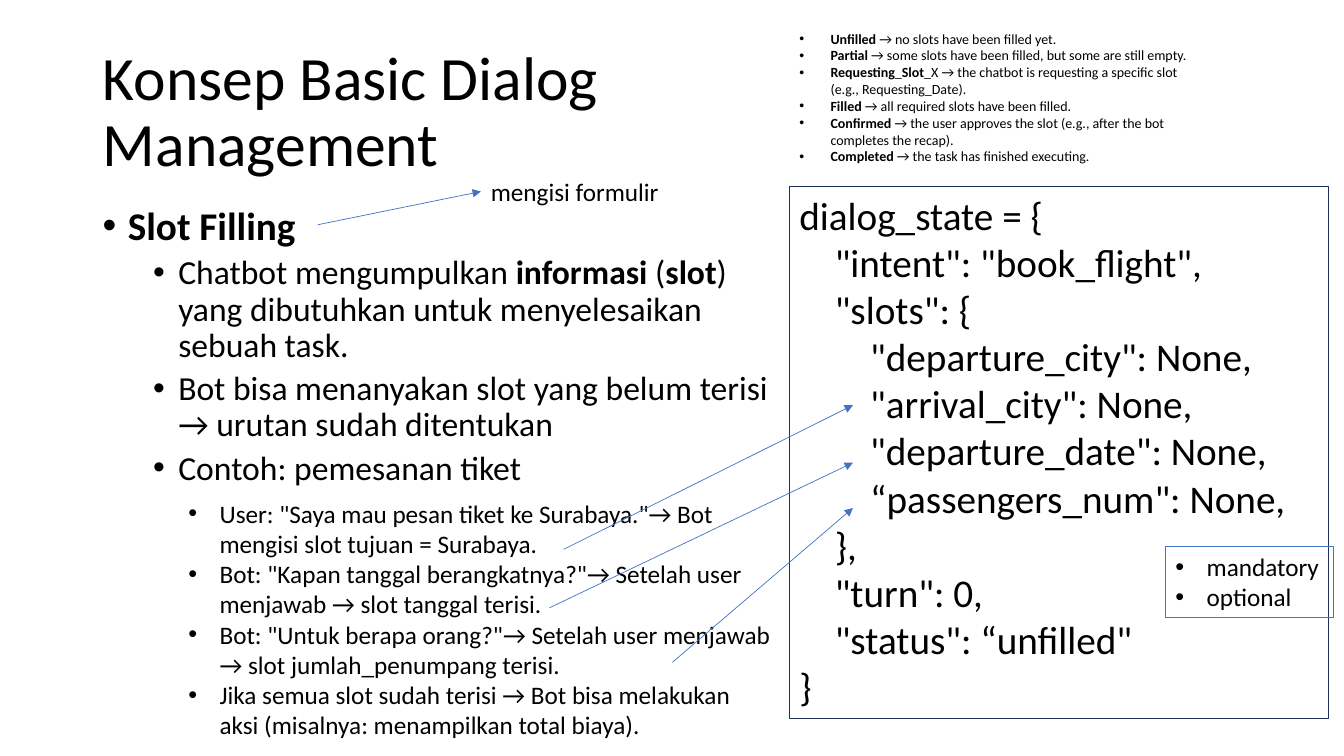
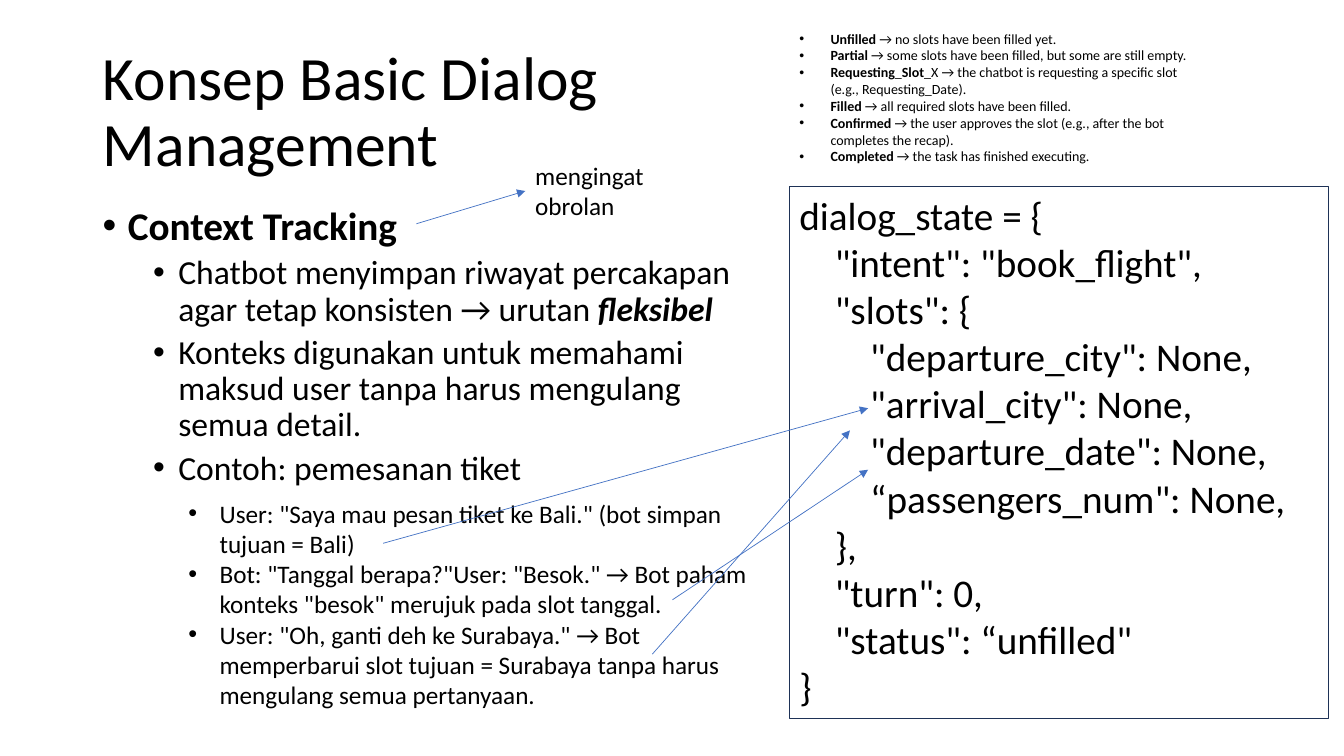
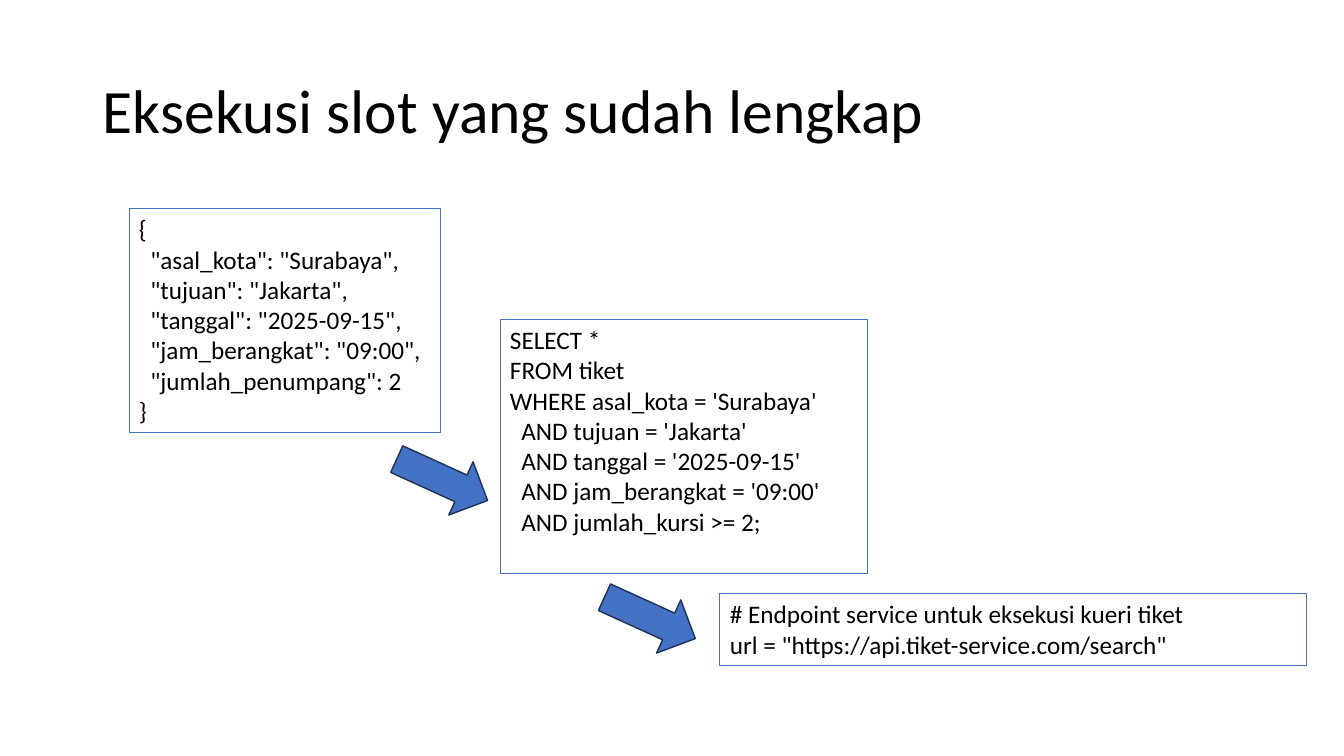
from lxml.etree import SubElement
from pptx import Presentation
from pptx.dml.color import RGBColor
from pptx.enum.shapes import MSO_CONNECTOR as CONN, MSO_SHAPE as SHAPE
from pptx.enum.text import MSO_ANCHOR as ANCHOR, MSO_AUTO_SIZE as AUTO, PP_ALIGN as ALIGN
from pptx.oxml.ns import qn
from pptx.util import Inches, Pt

FONT = "Calibri"
BLACK, BLUE, NAVY = "000000", "4472C4", "1E3256"
CODE_AT = (7.83, 1.85, 5.35, 5.28)
STATES_AT = (7.83, 0.25, 4.1, 1.45)
BODY_AT = (0.92, 2, 6.83, 4.76)
SMALL_BULLET = {"margin": 0.31, "hang": 0.31}
HEADING = {"size": 28, "margin": 0.25, "hang": 0.25, "spacing": 0.9, "bold": True}
POINT = {"size": 24, "margin": 0.75, "hang": 0.25, "spacing": 0.9, "before": 5}

# Tuples alternate plain and emphasised runs.
STATES = [
    ("", "Unfilled", " → no slots have been filled yet."),
    ("", "Partial", " → some slots have been filled, but some are still empty."),
    ("", "Requesting", "_", "Slot", "_X → the chatbot is requesting a specific slot (e.g., Requesting_Date)."),
    ("", "Filled", " → all required slots have been filled."),
    ("", "Confirmed", " → the user approves the slot (e.g., after the bot completes the recap)."),
    ("", "Completed", " → the task has finished executing."),
]
DIALOG_STATE = '''dialog_state = {
    "intent": "book_flight",
    "slots": {
        "departure_city": None,
        "arrival_city": None,
        "departure_date": None,
        “passengers_num": None,
    },
    "turn": 0,
    "status": “unfilled"
}'''

CONCEPTS = [
    {
        "heading": "Slot Filling",
        "points": [
            ("Chatbot mengumpulkan ", "informasi", " (", "slot",
             ") yang dibutuhkan untuk menyelesaikan sebuah task."),
            "Bot bisa menanyakan slot yang belum terisi → urutan sudah ditentukan",
            "Contoh: pemesanan tiket",
        ],
        "italic": False,
        "example_height": 2.52,
        "examples": [
            'User: "Saya mau pesan tiket ke Surabaya."→ Bot mengisi slot tujuan = Surabaya.',
            'Bot: "Kapan tanggal berangkatnya?"→ Setelah user menjawab → slot tanggal terisi.',
            'Bot: "Untuk berapa orang?"→ Setelah user menjawab → slot jumlah_penumpang terisi.',
            "Jika semua slot sudah terisi → Bot bisa melakukan aksi (misalnya: menampilkan total biaya).",
        ],
        "arrows": [(5.59, 5.45, 8.46, 4.02), (5.45, 6.03, 8.46, 4.59), (6.67, 6.57, 8.46, 5.04)],
        "gloss": ("mengisi formulir", (4.77, 1.7, 2.54, 0.4), (3.15, 2.23)),
        "kinds": ["mandatory", "optional"],
    },
    {
        "heading": "Context Tracking",
        "points": [
            ("Chatbot menyimpan riwayat percakapan agar tetap konsisten → urutan ", "fleksibel"),
            "Konteks digunakan untuk memahami maksud user tanpa harus mengulang semua detail.",
            "Contoh: pemesanan tiket",
        ],
        "italic": True,
        "example_height": 2.22,
        "examples": [
            'User: "Saya mau pesan tiket ke Bali." (bot simpan tujuan = Bali)',
            'Bot: "Tanggal berapa?"User: "Besok." → Bot paham konteks "besok" merujuk pada slot tanggal.',
            'User: "Oh, ganti deh ke Surabaya." → Bot memperbarui slot tujuan = Surabaya '
            "tanpa harus mengulang semua pertanyaan.",
        ],
        "arrows": [(3.8, 5.39, 8.61, 4.05), (6.67, 5.95, 8.61, 4.66), (6.47, 6.49, 8.43, 4.27)],
        "gloss": ("mengingat obrolan", (5.21, 1.54, 1.9, 0.71), (4.13, 2.22)),
        "kinds": [],
    },
]

STEPS = [
    ((1.28, 2.07, 3.09, 2.22), '''{
  "asal_kota": "Surabaya",
  "tujuan": "Jakarta",
  "tanggal": "2025-09-15",
  "jam_berangkat": "09:00",
  "jumlah_penumpang": 2
}'''),
    ((4.96, 3.17, 3.64, 2.52), '''SELECT *
FROM tiket
WHERE asal_kota = 'Surabaya'
  AND tujuan = 'Jakarta'
  AND tanggal = '2025-09-15'
  AND jam_berangkat = '09:00'
  AND jumlah_kursi >= 2;'''),
    ((7.14, 5.89, 5.82, 0.71), '''# Endpoint service untuk eksekusi kueri tiket
url = "https://api.tiket-service.com/search"'''),
]
STEP_ARROWS = [(3.89, 4.47, 0.99, 0.58), (5.95, 5.84, 0.99, 0.58)]


def rgb(value):
    return RGBColor.from_string(value)


def inches(values):
    return [Inches(v) for v in values]


def set_line(sp, color, width):
    sp.line.color.rgb = rgb(color)
    sp.line.width = Pt(width)


def style_run(r, size, **formats):
    r.font.color.rgb = rgb(BLACK)
    for name, value in {"name": FONT, "size": Pt(size), **formats}.items():
        setattr(r.font, name, value)


def add_bullet(p, margin, hang):
    pPr = p._p.get_or_add_pPr()
    pPr.set("marL", str(Inches(margin)))
    pPr.set("indent", str(-Inches(hang)))
    SubElement(pPr, qn("a:buFont")).set("typeface", "Arial")
    SubElement(pPr, qn("a:buChar")).set("char", "•")


def fill_paragraph(p, runs, size=18, margin=0, hang=0, spacing=None, before=0, bold=False, italic=False):
    p.alignment = ALIGN.LEFT
    if hang:
        add_bullet(p, margin, hang)
    if spacing:
        p.line_spacing = spacing
    if before:
        p.space_before = Pt(before)
    for i, text in enumerate([runs] if isinstance(runs, str) else runs):
        if text:
            r = p.add_run()
            r.text = text
            strong = i % 2 == 1
            style_run(r, size, bold=bold or strong, italic=italic and strong)


def add_text(slide, at, paragraphs, line=None):
    if line:
        sp = slide.shapes.add_shape(SHAPE.RECTANGLE, *inches(at))
        sp.shadow.inherit = False
        sp.fill.background()
        set_line(sp, line, 0.75)
    else:
        sp = slide.shapes.add_textbox(*inches(at))
    tf = sp.text_frame
    for name, value in {"word_wrap": True, "auto_size": AUTO.NONE, "vertical_anchor": ANCHOR.TOP}.items():
        setattr(tf, name, value)
    for i, (runs, formats) in enumerate(paragraphs):
        fill_paragraph(tf.add_paragraph() if i else tf.paragraphs[0], runs, **formats)
    return sp


def styled(items, **formats):
    return [(item, formats) for item in items]


def add_arrow(slide, ends, target=None):
    sp = slide.shapes.add_connector(CONN.STRAIGHT, *inches(ends))
    if target is not None:
        sp.end_connect(target, 1)
    set_line(sp, BLUE, 0.5)
    SubElement(sp.line._get_or_add_ln(), qn("a:tailEnd")).set("type", "triangle")
    SubElement(sp._element.spPr, qn("a:effectLst"))


def add_slide(prs, title, width):
    slide = prs.slides.add_slide(prs.slide_layouts[5])
    sp = slide.shapes.title
    sp.left, sp.top, sp.width, sp.height = inches((0.92, 0.4, width, 1.45))
    tf = sp.text_frame
    for name, value in {"word_wrap": True, "auto_size": AUTO.NONE, "vertical_anchor": ANCHOR.MIDDLE}.items():
        setattr(tf, name, value)
    fill_paragraph(tf.paragraphs[0], title, size=44, spacing=0.9)
    return slide


def add_concept(prs, concept):
    slide = add_slide(prs, "Konsep Basic Dialog Management", 8.42)
    points = styled(concept["points"], italic=concept["italic"], **POINT)
    add_text(slide, BODY_AT, [(concept["heading"], HEADING)] + points)
    add_text(slide, (1.77, 4.89, 5.97, concept["example_height"]), styled(concept["examples"], **SMALL_BULLET))
    add_text(slide, CODE_AT, styled(DIALOG_STATE.split("\n"), size=28), NAVY)
    add_text(slide, STATES_AT, styled(STATES, size=10, **SMALL_BULLET))
    for ends in concept["arrows"]:
        add_arrow(slide, ends)
    if concept["kinds"]:
        add_text(slide, (11.56, 5.42, 1.67, 0.71), styled(concept["kinds"], **SMALL_BULLET), BLUE)
    text, at, start = concept["gloss"]
    gloss = add_text(slide, at, styled([text]))
    add_arrow(slide, (*start, at[0], at[1] + at[3] / 2), gloss)


def add_execution(prs):
    slide = add_slide(prs, "Eksekusi slot yang sudah lengkap", 11.5)
    for at, code in STEPS:
        add_text(slide, at, styled(code.split("\n")), BLUE)
    for at in STEP_ARROWS:
        sp = slide.shapes.add_shape(SHAPE.RIGHT_ARROW, *inches(at))
        sp.shadow.inherit = False
        sp.rotation = 24.5
        sp.fill.solid()
        sp.fill.fore_color.rgb = rgb(BLUE)
        set_line(sp, NAVY, 1)


def main():
    prs = Presentation()
    prs.slide_width, prs.slide_height = inches((13.33, 7.5))
    for concept in CONCEPTS:
        add_concept(prs, concept)
    add_execution(prs)
    prs.save("out.pptx")


if __name__ == "__main__":
    main()
